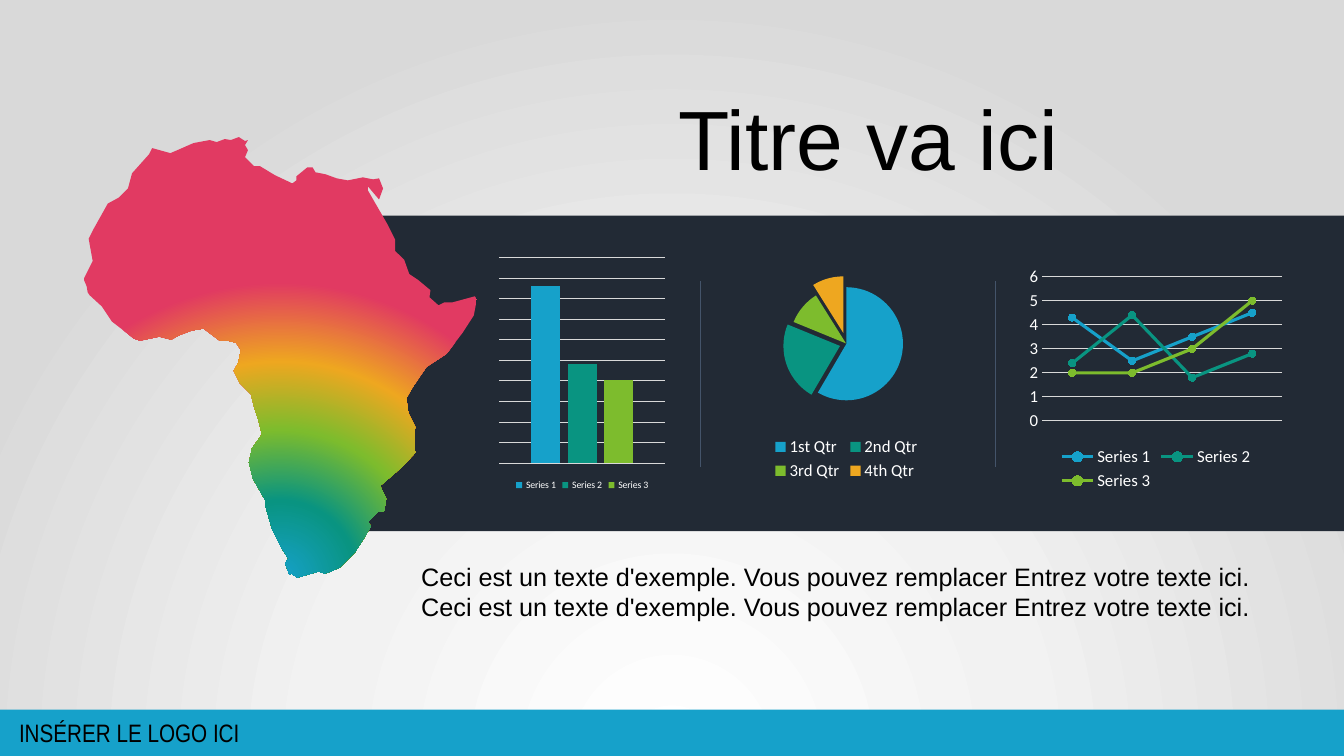
from dataclasses import dataclass

from lxml import etree
from pptx import Presentation
from pptx.chart.data import CategoryChartData
from pptx.dml.color import RGBColor
from pptx.enum.chart import XL_CHART_TYPE as Kind, XL_LEGEND_POSITION as LegendSide
from pptx.enum.chart import XL_MARKER_STYLE as Marker, XL_TICK_MARK as Tick
from pptx.enum.shapes import MSO_CONNECTOR as Connector, MSO_SHAPE as Preset
from pptx.enum.text import MSO_AUTO_SIZE as AutoSize
from pptx.oxml import parse_xml
from pptx.oxml.ns import nsdecls, qn
from pptx.util import Pt

PX = 9144
BLUE, TEAL, GREEN, ORANGE, PINK = "16A1CA", "099481", "7DBC2D", "EEA720", "E13A62"
PALETTE = [BLUE, TEAL, GREEN, ORANGE]
NAVY, SLATE, GRID, WHITE, BLACK = "222A35", "44546A", "D9D9D9", "FFFFFF", "000000"

AFRICA = [
    (306, 166), (310, 166), (313, 171), (323, 173), (334, 177), (345, 179), (360, 176), (370, 178),
    (376, 177), (380, 187), (376, 198), (365, 185), (365, 189), (384, 222), (392, 238), (392, 249),
    (401, 258), (406, 272), (415, 278), (427, 288), (426, 295), (435, 303), (441, 300), (449, 300),
    (471, 294), (473, 297), (470, 313), (459, 330), (443, 351), (423, 364), (410, 383), (403, 395),
    (405, 410), (412, 424), (411, 427), (411, 432), (411, 445), (412, 449), (399, 463), (384, 476),
    (377, 482), (383, 495), (381, 507), (375, 508), (365, 518), (368, 522), (361, 534), (352, 548),
    (337, 563), (328, 567), (322, 569), (316, 567), (295, 573), (289, 569), (287, 570), (283, 559),
    (286, 554), (279, 543), (270, 525), (263, 501), (263, 496), (259, 489), (251, 475), (247, 459),
    (250, 445), (260, 431), (257, 419), (252, 403), (249, 391), (238, 380), (232, 368), (237, 359),
    (237, 357), (239, 347), (234, 340), (226, 338), (218, 338), (202, 326), (190, 328), (177, 333),
    (170, 337), (158, 334), (139, 338), (133, 336), (111, 319), (101, 304), (89, 293), (87, 290),
    (86, 284), (83, 277), (92, 259), (88, 237), (93, 227), (107, 202), (118, 196), (127, 187),
    (131, 172), (148, 153), (151, 147), (169, 152), (176, 149), (192, 142), (208, 139), (215, 141),
    (223, 138), (229, 139), (237, 136), (243, 140), (246, 139), (243, 144), (246, 149), (243, 156),
    (252, 165), (258, 165), (273, 174), (290, 182), (294, 179), (294, 175), (305, 166),
]


@dataclass
class Frame:
    left: int
    top: int
    width: int
    height: int

    def emu(self) -> list[int]:
        return [n * PX for n in (self.left, self.top, self.width, self.height)]


@dataclass
class Label:
    frame: Frame
    text: str
    size: int
    font: str


@dataclass
class Graph:
    frame: Frame
    kind: Kind
    categories: list[str]
    series: list[list[float]]
    legend_size: int


TITLE = Label(Frame(663, 81, 614, 111), "Titre va ici", 60, "Arial")
SENTENCE = "Ceci est un texte d'exemple. Vous pouvez remplacer Entrez votre texte ici."
BODY = Label(Frame(408, 552, 860, 71), f"{SENTENCE} {SENTENCE}", 18, "Arial")
LOGO = Label(Frame(9, 707, 328, 40), "INSÉRER LE LOGO ICI", 18, "Arial Narrow")

COLUMNS = Graph(Frame(492, 251, 171, 240), Kind.COLUMN_CLUSTERED, ["1"], [[100], [56], [47]], 7)
PIE = Graph(Frame(702, 260, 275, 221), Kind.PIE,
            ["1st Qtr", "2nd Qtr", "3rd Qtr", "4th Qtr"], [[59, 23, 10, 9]], 12)
LINES = Graph(Frame(1016, 260, 261, 231), Kind.LINE_MARKERS, ["1", "2", "3", "4"],
              [[4.3, 2.5, 3.5, 4.5], [2.4, 4.4, 1.8, 2.8], [2, 2, 3, 5]], 12)


def color(value: str) -> RGBColor:
    return RGBColor.from_string(value)


def paint(fill, value: str) -> None:
    fill.solid()
    fill.fore_color.rgb = color(value)


def radiate(fill, parent, stops: list[tuple[int, str]]) -> None:
    paint(fill, WHITE)
    marks = "".join(f'<a:gs pos="{at * 1000}"><a:srgbClr val="{value}"/></a:gs>' for at, value in stops)
    gradient = parse_xml(
        f'<a:gradFill {nsdecls("a")} rotWithShape="1"><a:gsLst>{marks}</a:gsLst><a:path path="circle">'
        '<a:fillToRect l="50000" t="130000" r="50000" b="-30000"/></a:path></a:gradFill>')
    parent.replace(parent.find(qn("a:solidFill")), gradient)


def add_band(shapes, frame: Frame, value: str) -> None:
    band = shapes.add_shape(Preset.RECTANGLE, *frame.emu())
    band.shadow.inherit = False
    paint(band.fill, value)
    band.line.fill.background()


def add_label(shapes, label: Label) -> None:
    box = shapes.add_textbox(*label.frame.emu())
    box.text_frame.word_wrap = True
    box.text_frame.auto_size = AutoSize.SHAPE_TO_FIT_TEXT
    span = box.text_frame.paragraphs[0].add_run()
    span.text = label.text
    span.font.size, span.font.name = Pt(label.size), label.font
    span.font.color.rgb = color(BLACK)


def add_divider(shapes, x: int) -> None:
    divider = shapes.add_connector(Connector.STRAIGHT, x * PX, 279 * PX, x * PX, 463 * PX)
    divider.line.color.rgb = color(SLATE)
    divider.line.width = Pt(0.5)
    etree.SubElement(divider._element.spPr, qn("a:effectLst"))


def add_continent(shapes) -> None:
    builder = shapes.build_freeform(*AFRICA[0], scale=PX)
    builder.add_line_segments(AFRICA[1:], close=True)
    continent = builder.convert_to_shape()
    continent.shadow.inherit = False
    continent.line.fill.background()
    radiate(continent.fill, continent._element.spPr,
            list(zip((0, 26, 50, 73, 100), [*PALETTE, PINK])))


def add_graph(shapes, graph: Graph):
    data = CategoryChartData()
    data.categories = graph.categories
    for number, values in enumerate(graph.series, 1):
        data.add_series(f"Series {number}", values)
    chart = shapes.add_chart(graph.kind, *graph.frame.emu(), data).chart
    chart.has_title = False
    chart.font.size, chart.font.name = Pt(10), "Calibri"
    chart.font.color.rgb = color(BLACK)
    chart.has_legend = True
    chart.legend.position = LegendSide.BOTTOM
    chart.legend.include_in_layout = False
    font = chart.legend.font
    font.size, font.name = Pt(graph.legend_size), "Calibri"
    font.color.rgb = color(WHITE)
    chart.plots[0].vary_by_categories = graph.kind == Kind.PIE
    return chart


def scale_axes(chart, top: float, unit: float) -> None:
    chart.category_axis.visible = False
    axis = chart.value_axis
    axis.minimum_scale, axis.maximum_scale, axis.major_unit = 0, top, unit
    axis.major_tick_mark = axis.minor_tick_mark = Tick.NONE
    axis.format.line.fill.background()
    axis.major_gridlines.format.line.color.rgb = color(GRID)
    axis.major_gridlines.format.line.width = Pt(0.75)


def add_columns(shapes) -> None:
    chart = add_graph(shapes, COLUMNS)
    scale_axes(chart, 116, 11.6)
    chart.value_axis.visible = False
    chart.plots[0].gap_width, chart.plots[0].overlap = 219, -27
    for series, value in zip(chart.series, PALETTE):
        paint(series.format.fill, value)


def add_pie(shapes) -> None:
    series = add_graph(shapes, PIE).series[0]
    for i, (value, explosion) in enumerate(zip(PALETTE, (0, 12, 1, 20))):
        paint(series.points[i].format.fill, value)
        slice_format = series._element.findall(qn("c:dPt"))[i].find(qn("c:spPr"))
        slice_format.addprevious(parse_xml(f'<c:explosion {nsdecls("c")} val="{explosion}"/>'))


def add_lines(shapes) -> None:
    chart = add_graph(shapes, LINES)
    scale_axes(chart, 6, 1)
    font = chart.value_axis.tick_labels.font
    font.size, font.name = Pt(12), "Calibri"
    font.color.rgb = color(WHITE)
    for series, value in zip(chart.series, PALETTE):
        series.smooth = False
        series.format.line.color.rgb = color(value)
        series.format.line.width = Pt(2.25)
        series.marker.style, series.marker.size = Marker.CIRCLE, 5
        paint(series.marker.format.fill, value)
        series.marker.format.line.color.rgb = color(value)


def main() -> None:
    deck = Presentation()
    deck.slide_width, deck.slide_height = 1333 * PX, 750 * PX
    page = deck.slides.add_slide(deck.slide_layouts[6])
    shapes = page.shapes
    radiate(page.background.fill, page._element.xpath("./p:cSld/p:bg/p:bgPr")[0],
            [(0, WHITE), (46, "F2F2F2"), (100, GRID)])
    add_band(shapes, Frame(345, 214, 988, 313), NAVY)
    add_continent(shapes)
    add_label(shapes, TITLE)
    for x in (695, 987):
        add_divider(shapes, x)
    add_columns(shapes)
    add_pie(shapes)
    add_lines(shapes)
    add_label(shapes, BODY)
    footer = shapes.add_group_shape().shapes
    add_band(footer, Frame(0, 704, 1333, 46), BLUE)
    add_label(footer, LOGO)
    deck.save("out.pptx")


if __name__ == "__main__":
    main()
